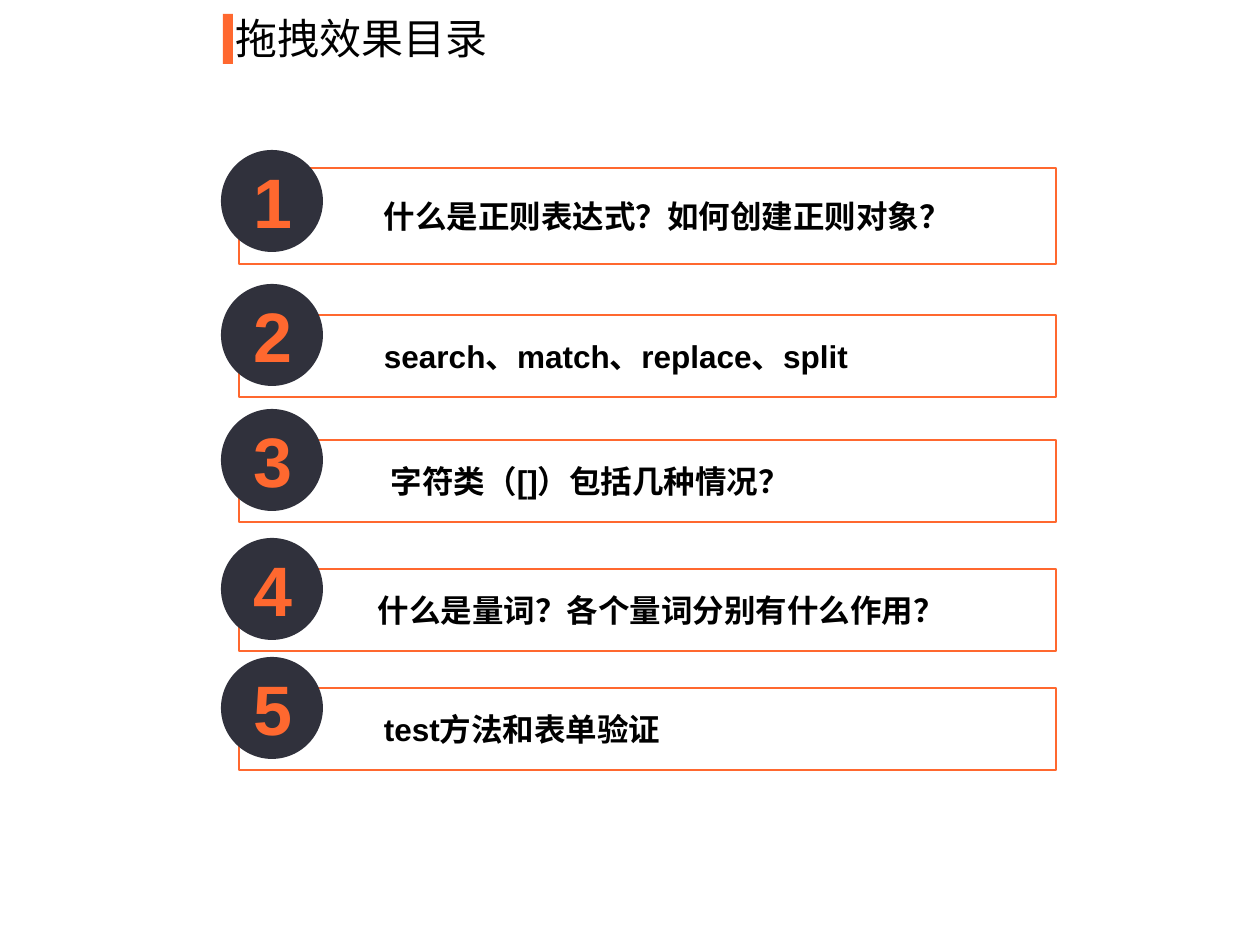
from typing import NamedTuple

from lxml import etree
from pptx import Presentation
from pptx.dml.color import RGBColor
from pptx.enum.shapes import MSO_SHAPE
from pptx.enum.text import MSO_ANCHOR, MSO_AUTO_SIZE, PP_ALIGN
from pptx.oxml.ns import qn
from pptx.util import Emu, Pt

RECT, OVAL = MSO_SHAPE.RECTANGLE, MSO_SHAPE.OVAL
TOP, MID = MSO_ANCHOR.TOP, MSO_ANCHOR.MIDDLE
LEFT, MID_X = PP_ALIGN.LEFT, PP_ALIGN.CENTER
GROW = MSO_AUTO_SIZE.SHAPE_TO_FIT_TEXT
ORANGE = RGBColor(0xFF, 0x68, 0x2F)
DARK = RGBColor(0x30, 0x31, 0x3C)
WHITE = RGBColor(0xFF, 0xFF, 0xFF)
BLACK = RGBColor(0, 0, 0)
SCALE = 914400 / 126
HAN = "Noto Sans CJK SC"
DISC = 102


class Box(NamedTuple):
    x: int
    y: int
    w: int
    h: int


class Look(NamedTuple):
    name: str
    size: int
    color: RGBColor
    bold: bool
    align: PP_ALIGN
    anchor: MSO_ANCHOR


class Row(NamedTuple):
    text: str
    y: int
    pad: int = 145
    drop: int = 31
    h: int = 82


HEAD = Look(HAN, 24, BLACK, False, LEFT, TOP)
BODY = Look("Arial", 18, BLACK, True, LEFT, MID)
MARK = Look("Arial", 40, ORANGE, True, MID_X, MID)

ROWS = [
    Row("什么是正则表达式？如何创建正则对象？", 150, drop=18, h=96),
    Row("search、match、replace、split", 284),
    Row("字符类（[]）包括几种情况？", 409, pad=152),
    Row("什么是量词？各个量词分别有什么作用？", 538, pad=139),
    Row("test方法和表单验证", 657),
]


def px(n: int) -> Emu:
    return Emu(round(n * SCALE))


def put(item, values: dict) -> None:
    for key, value in values.items():
        setattr(item, key, value)


def write(shape, text: str, look: Look, pad: int = 13, edge: int = 6) -> None:
    frame = shape.text_frame
    put(frame, {
        "word_wrap": True, "vertical_anchor": look.anchor,
        "margin_left": px(pad), "margin_right": px(10),
        "margin_top": px(edge), "margin_bottom": px(edge),
    })
    para = frame.paragraphs[0]
    para.alignment = look.align
    run = para.add_run()
    run.text = text
    put(run.font, {"name": look.name, "size": Pt(look.size), "bold": look.bold})
    run.font.color.rgb = look.color
    etree.SubElement(run._r.get_or_add_rPr(), qn("a:ea"), typeface=HAN)


def draw(slide, kind, box: Box, fill: RGBColor):
    shape = slide.shapes.add_shape(kind, *map(px, box))
    shape.shadow.inherit = False
    shape.fill.solid()
    shape.fill.fore_color.rgb = fill
    shape.line.fill.background()
    return shape


def add_row(slide, rank: int, row: Row) -> None:
    panel = draw(slide, RECT, Box(239, row.y + row.drop, 817, row.h), WHITE)
    tint = panel.fill._xPr.find(".//" + qn("a:srgbClr"))
    etree.SubElement(tint, qn("a:alpha"), val="40000")
    panel.line.color.rgb = ORANGE
    panel.line.width = Pt(0.75)
    write(panel, row.text, BODY, row.pad, 10)
    disc = draw(slide, OVAL, Box(221, row.y, DISC, DISC), DARK)
    write(disc, str(rank), MARK)


def main() -> None:
    deck = Presentation()
    put(deck, {"slide_width": px(1260), "slide_height": px(945)})
    slide = deck.slides.add_slide(deck.slide_layouts[5])
    title = slide.shapes.title
    spot = zip(("left", "top", "width", "height"), map(px, Box(223, 6, 507, 63)))
    put(title, dict(spot))
    write(title, "拖拽效果目录", HEAD)
    title.text_frame.auto_size = GROW
    draw(slide, RECT, Box(223, 14, 10, 50), ORANGE)
    for rank, row in enumerate(ROWS, 1):
        add_row(slide, rank, row)
    deck.save("out.pptx")


if __name__ == "__main__":
    main()
